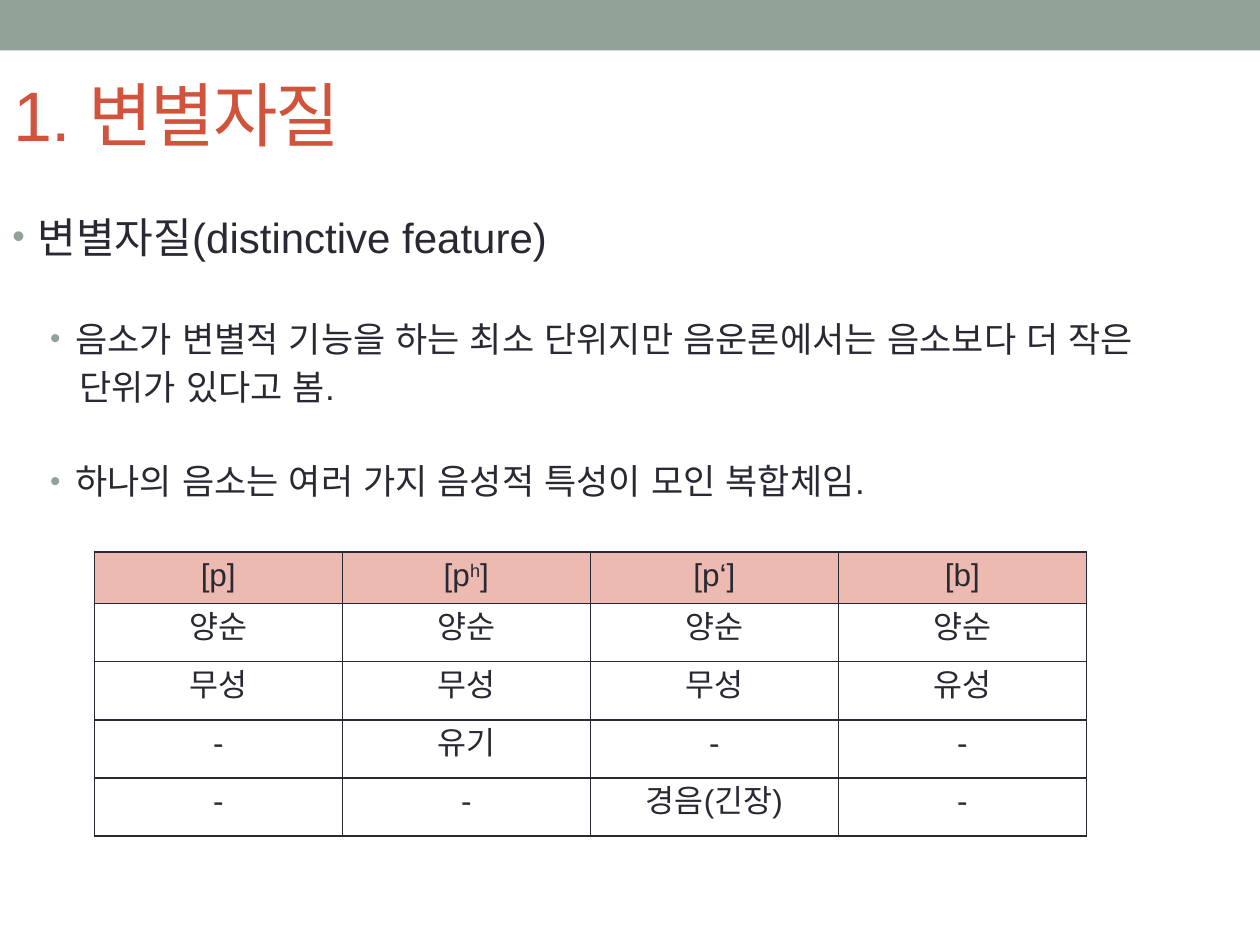
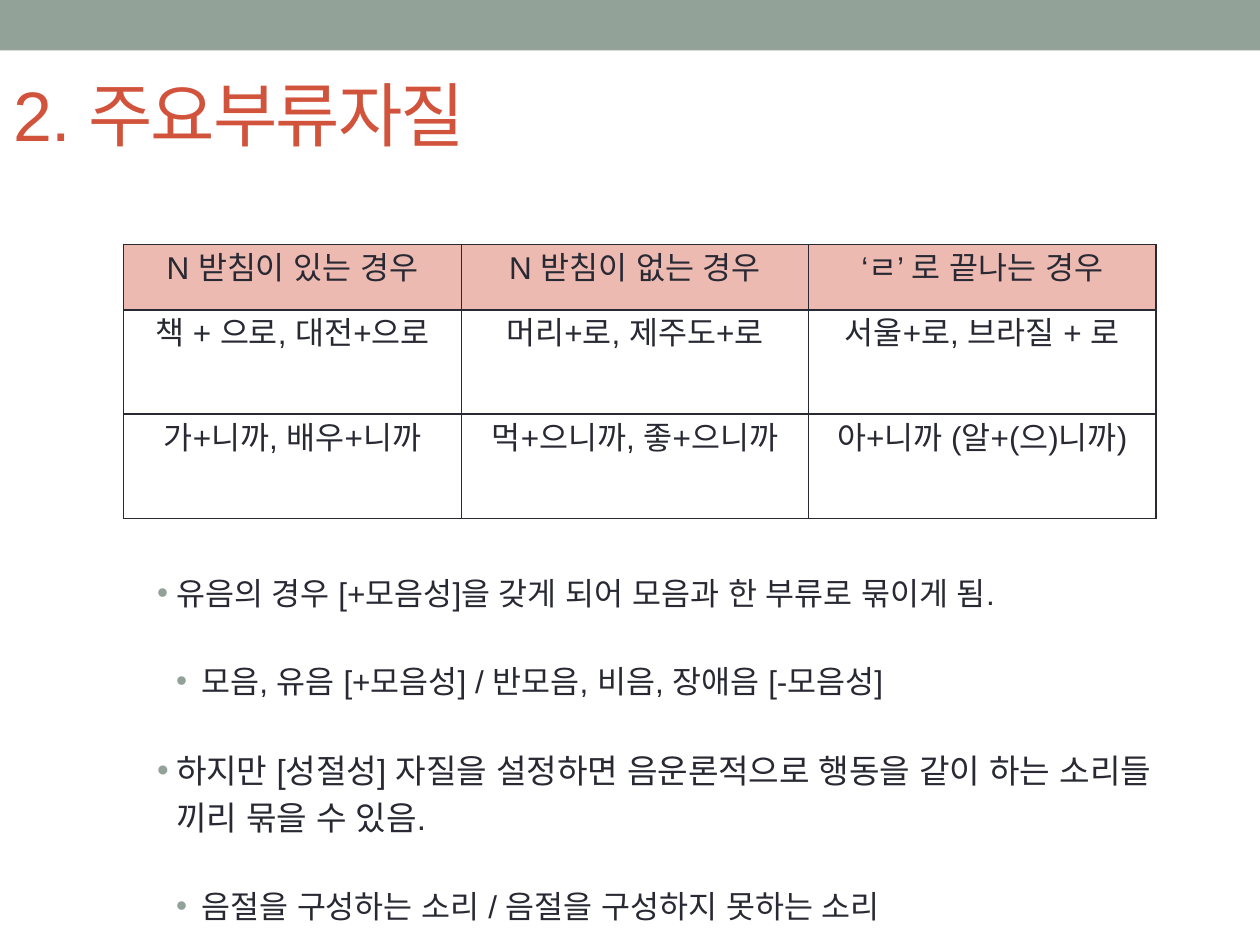
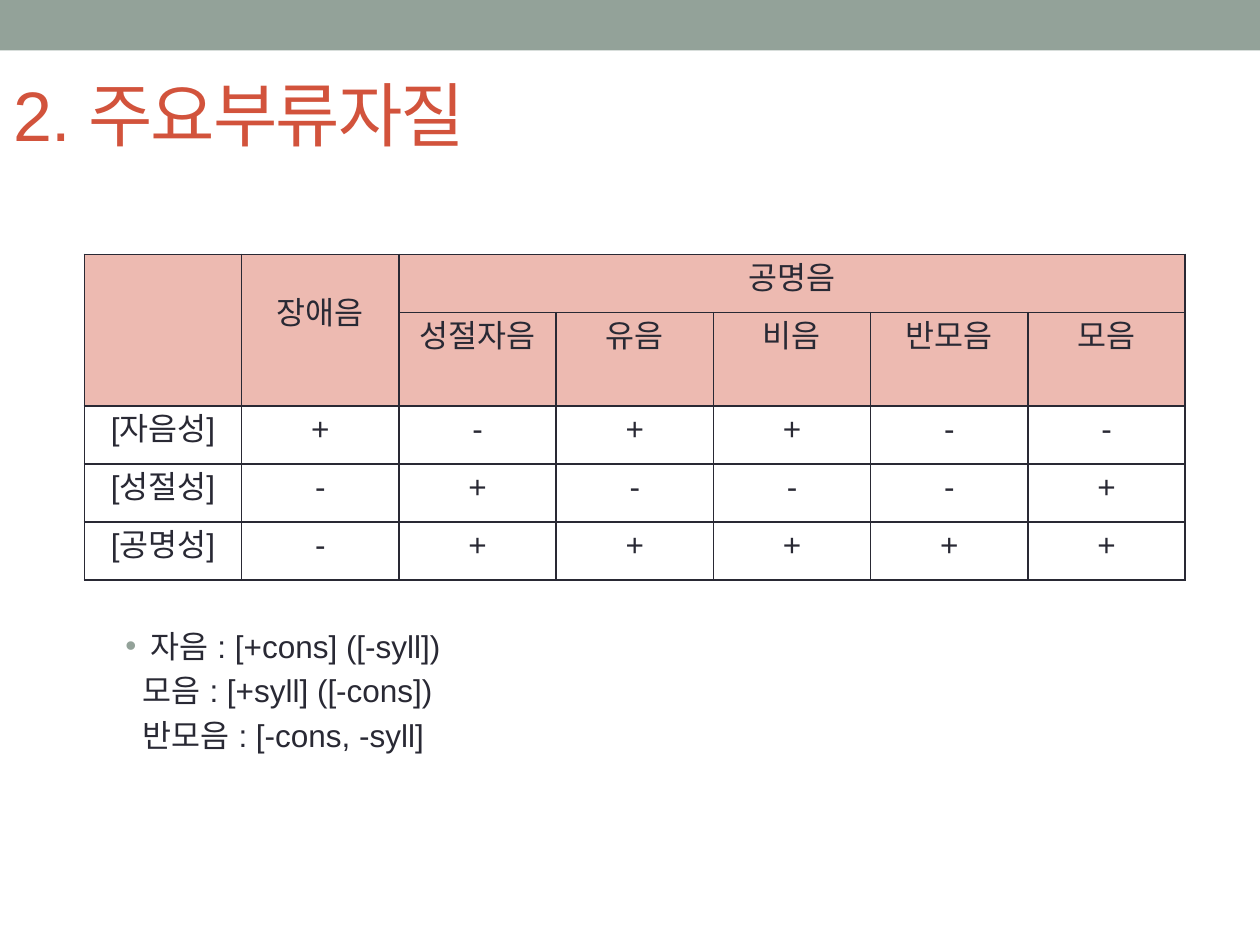
"""Builds three slides on distinctive features in phonology."""
from lxml.etree import SubElement
from pptx import Presentation
from pptx.dml.color import RGBColor
from pptx.enum.shapes import MSO_SHAPE as Preset
from pptx.enum.text import MSO_ANCHOR as Anchor, PP_ALIGN as Align
from pptx.oxml.ns import qn
from pptx.util import Cm, Pt

SAGE = RGBColor(0x93, 0xA2, 0x99)
BRICK = RGBColor(0xD2, 0x53, 0x3C)
INK = RGBColor(0x29, 0x29, 0x34)
BLUSH = RGBColor(0xED, 0xBA, 0xB1)
FONT = "Arial"


class Lecture:
    def __init__(self):
        self.deck = Presentation()
        self.deck.slide_width, self.deck.slide_height = Cm(25.4), Cm(19.05)
        self.slide = None

    def start(self, heading):
        self.slide = self.deck.slides.add_slide(self.deck.slide_layouts[6])
        band = self.slide.shapes.add_shape(Preset.RECTANGLE, 0, 0, Cm(25.4), Cm(1.02))
        band.shadow.inherit = False
        band.fill.solid()
        band.fill.fore_color.rgb = SAGE
        band.line.fill.background()
        frame = self.frame(0.03, 0.91, 22.86, 2.74)
        frame.vertical_anchor = Anchor.MIDDLE
        run = self.run(frame.paragraphs[0], heading, 40, BRICK)
        run._r.get_or_add_rPr().set("spc", "-100")

    def frame(self, left, top, width, height):
        box = self.slide.shapes.add_textbox(Cm(left), Cm(top), Cm(width), Cm(height))
        box.text_frame.word_wrap = True
        return box.text_frame

    def run(self, paragraph, text, size=18, color=INK):
        run = paragraph.add_run()
        run.text = text
        run.font.name, run.font.size = FONT, Pt(size)
        run.font.color.rgb = color
        props = run._r.get_or_add_rPr()
        props.set("lang", "ko-KR")
        SubElement(props, qn("a:ea"), typeface=FONT)
        return run

    def body(self, inset, points, bullet_scale=100):
        frame = self.frame(0, 4.11, 25.4, 14.6)
        frame.margin_top = Cm(inset)
        for index, (text, size, indent, hanging, gap) in enumerate(points):
            point = frame.add_paragraph() if index else frame.paragraphs[0]
            point.line_spacing, point.space_before = Pt(25), Pt(gap)
            props = point._p.get_or_add_pPr()
            props.set("marL", str(Cm(indent)))
            props.set("indent", str(-Cm(hanging)))
            if hanging:
                self.bullet(props, bullet_scale)
            self.run(point, text, size)

    def bullet(self, props, scale):
        tint = SubElement(props, qn("a:buClr"))
        SubElement(tint, qn("a:srgbClr"), val=str(SAGE))
        SubElement(props, qn("a:buSzPct"), val=str(scale * 1000))
        SubElement(props, qn("a:buFont"), typeface=FONT)
        SubElement(props, qn("a:buChar"), char="•")

    def table(self, left, top, widths, heights, rows, header_rows=1):
        grid = self.slide.shapes.add_table(
            len(rows), len(widths), Cm(left), Cm(top), Cm(sum(widths)), Cm(sum(heights))).table
        grid.first_row = grid.horz_banding = False
        for column, width in zip(grid.columns, widths):
            column.width = Cm(width)
        for row, height in zip(grid.rows, heights):
            row.height = Cm(height)
        for r, texts in enumerate(rows):
            for c, text in enumerate(texts):
                self.cell(grid.cell(r, c), text, r < header_rows)
        return grid

    def cell(self, cell, text, is_header):
        props = cell._tc.get_or_add_tcPr()
        for side in ("lnL", "lnR", "lnT", "lnB"):
            edge = SubElement(props, qn(f"a:{side}"), w=str(Pt(1)))
            SubElement(SubElement(edge, qn("a:solidFill")), qn("a:srgbClr"), val=str(INK))
        if is_header:
            cell.fill.solid()
            cell.fill.fore_color.rgb = BLUSH
        else:
            cell.fill.background()
        paragraph = cell.text_frame.paragraphs[0]
        paragraph.alignment = Align.CENTER
        for index, part in enumerate(text.split("^")):
            if part:
                run = self.run(paragraph, part)
                if index % 2:
                    run._r.get_or_add_rPr().set("baseline", "30000")


lecture = Lecture()

lecture.start("1. 변별자질")
lecture.body(0.28, [
    ("변별자질(distinctive feature)", 24, 0.51, 0.51, 0),
    ("음소가 변별적 기능을 하는 최소 단위지만 음운론에서는 음소보다 더 작은", 20, 1.27, 0.51, 30.9),
    ("단위가 있다고 봄.", 20, 1.35, 0, 2.7),
    ("하나의 음소는 여러 가지 음성적 특성이 모인 복합체임.", 20, 1.27, 0.51, 28.7),
], bullet_scale=85)
lecture.table(1.9, 11.13, [5] * 4, [1.04] + [1.17] * 4, [
    ["[p]", "[p^h^]", "[p‘]", "[b]"],
    ["양순"] * 4,
    ["무성", "무성", "무성", "유성"],
    ["-", "유기", "-", "-"],
    ["-", "-", "경음(긴장)", "-"],
])

lecture.start("2. 주요부류자질")
lecture.body(7.34, [
    ("유음의 경우 [+모음성]을 갖게 되어 모음과 한 부류로 묶이게 됨.", 18, 3.3, 0.38, 0),
    ("모음, 유음 [+모음성] / 반모음, 비음, 장애음 [-모음성]", 18, 3.81, 0.51, 25.3),
    ("하지만 [성절성] 자질을 설정하면 음운론적으로 행동을 같이 하는 소리들", 19, 3.3, 0.38, 26.7),
    ("끼리 묶을 수 있음.", 19, 3.3, 0, 1.9),
    ("음절을 구성하는 소리 / 음절을 구성하지 못하는 소리", 18, 3.81, 0.51, 25),
])
lecture.table(2.49, 4.93, [6.81, 7, 7], [1.32, 2.1, 2.1], [
    ["N 받침이 있는 경우", "N 받침이 없는 경우", "‘ㄹ’ 로 끝나는 경우"],
    ["책 + 으로, 대전+으로", "머리+로, 제주도+로", "서울+로, 브라질 + 로"],
    ["가+니까, 배우+니까", "먹+으니까, 좋+으니까", "아+니까 (알+(으)니까)"],
])

lecture.start("2. 주요부류자질")
lecture.body(8.41, [
    ("자음 : [+cons] ([-syll])", 18, 2.79, 0.51, 0),
    ("모음 : [+syll] ([-cons])", 18, 2.63, 0, 0.4),
    ("반모음 : [-cons, -syll]", 18, 2.63, 0, 0.4),
])
features = lecture.table(1.7, 5.13, [3.17] * 7, [1.17, 1.88, 1.17, 1.17, 1.17], [
    ["", "장애음", "공명음", "", "", "", ""],
    ["", "", "성절자음", "유음", "비음", "반모음", "모음"],
    ["[자음성]", *"+-++--"],
    ["[성절성]", *"-+---+"],
    ["[공명성]", *"-+++++"],
], header_rows=2)
for first, last in [((0, 0), (1, 0)), ((0, 1), (1, 1)), ((0, 2), (0, 6))]:
    features.cell(*first).merge(features.cell(*last))
features.cell(0, 1).margin_top = Cm(0.83)

lecture.deck.save("out.pptx")
